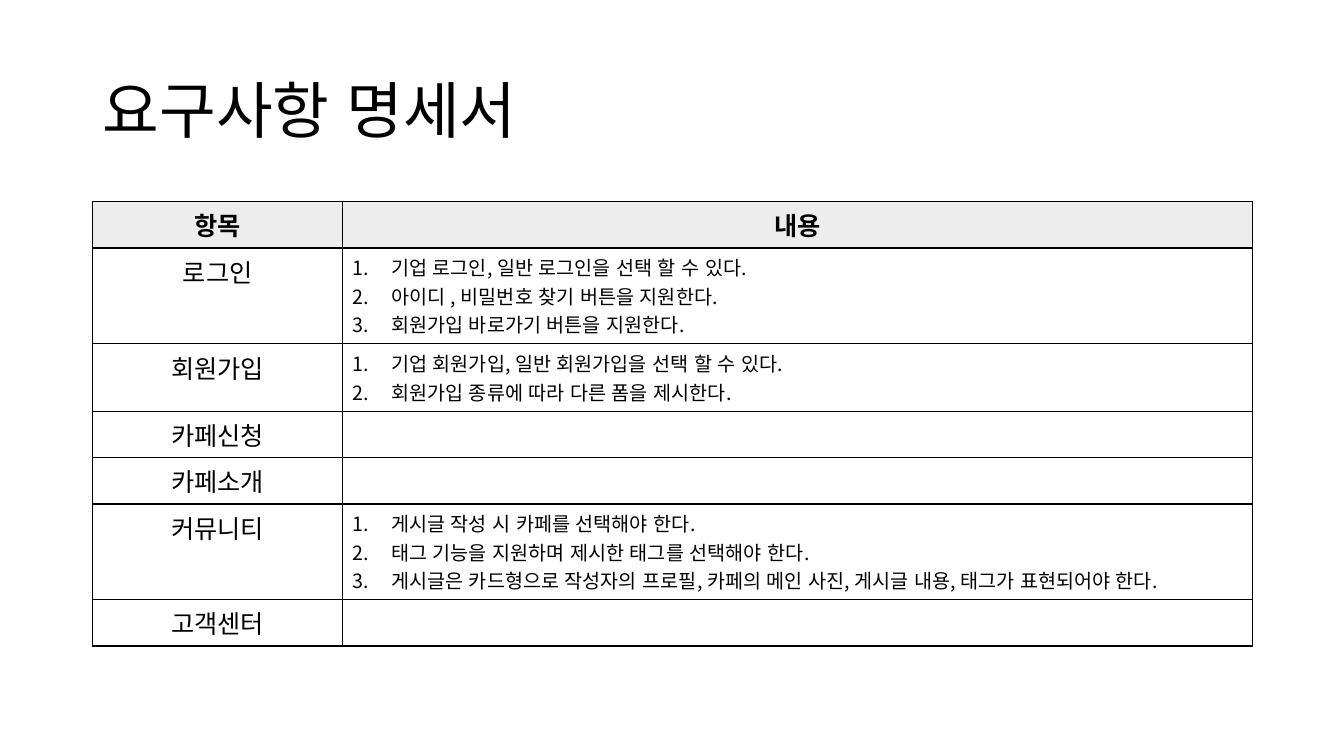
from lxml import etree
from pptx import Presentation
from pptx.dml.color import RGBColor
from pptx.enum.lang import MSO_LANGUAGE_ID
from pptx.enum.text import MSO_ANCHOR, PP_ALIGN
from pptx.oxml.ns import qn
from pptx.util import Inches, Pt

CENTER, MIDDLE = PP_ALIGN.CENTER, MSO_ANCHOR.MIDDLE
KOREAN = MSO_LANGUAGE_ID.KOREAN
BLACK = RGBColor(0x00, 0x00, 0x00)
HEADER_GREY = RGBColor(0xED, 0xED, 0xED)
FONT = "Noto Sans CJK KR"

WIDTH, HEIGHT = Inches(13.33), Inches(7.5)
LEFT, CONTENT_W = Inches(0.92), Inches(11.5)
TABLE_TOP, ROW_H = Inches(2), Inches(0.46)
LINE_H, CELL_PADDING = Inches(0.28), Inches(0.11)
ITEM_W = Inches(2.48)
INDENT = Inches(0.38)

HEADINGS = ("항목", "내용")
REQUIREMENTS = [
    ("로그인", ["기업 로그인, 일반 로그인을 선택 할 수 있다.",
             "아이디 , 비밀번호 찾기 버튼을 지원한다.",
             "회원가입 바로가기 버튼을 지원한다."]),
    ("회원가입", ["기업 회원가입, 일반 회원가입을 선택 할 수 있다.",
              "회원가입 종류에 따라 다른 폼을 제시한다."]),
    ("카페신청", []),
    ("카페소개", []),
    ("커뮤니티", ["게시글 작성 시 카페를 선택해야 한다.",
              "태그 기능을 지원하며 제시한 태그를 선택해야 한다.",
              "게시글은 카드형으로 작성자의 프로필, 카페의 메인 사진, 게시글 내용, "
              "태그가 표현되어야 한다."]),
    ("고객센터", []),
]


def add_run(p, text, size, bold=False):
    r = p.add_run()
    r.text = text
    formats = {"name": FONT, "size": Pt(size), "bold": bold, "language_id": KOREAN}
    for name, value in formats.items():
        setattr(r.font, name, value)
    r.font.color.rgb = BLACK
    latin = r.font._element.find(qn("a:latin"))
    latin.addnext(etree.Element(qn("a:ea"), typeface=FONT))


def number_paragraph(p):
    pPr = p._p.get_or_add_pPr()
    pPr.set("marL", str(INDENT))
    pPr.set("indent", str(-INDENT))
    etree.SubElement(pPr, qn("a:buFont"), typeface="+mj-lt")
    etree.SubElement(pPr, qn("a:buAutoNum"), type="arabicPeriod")


def style_cell(cell, fill=None):
    """Give the cell thin black borders and an optional fill."""
    tcPr = cell._tc.get_or_add_tcPr()
    for side in ("lnL", "lnR", "lnT", "lnB"):
        ln = etree.SubElement(tcPr, qn(f"a:{side}"), w=str(Pt(1)))
        solid = etree.SubElement(ln, qn("a:solidFill"))
        etree.SubElement(solid, qn("a:srgbClr"), val=str(BLACK))
    if fill is None:
        cell.fill.background()
    else:
        cell.fill.solid()
        cell.fill.fore_color.rgb = fill


def write_label(cell, text, bold=False):
    p = cell.text_frame.paragraphs[0]
    p.alignment = CENTER
    add_run(p, text, 18, bold)


def write_numbered(cell, lines):
    tf = cell.text_frame
    for i, line in enumerate(lines):
        p = tf.add_paragraph() if i else tf.paragraphs[0]
        number_paragraph(p)
        add_run(p, line, 14)


def add_title(s, text):
    tf = s.shapes.add_textbox(LEFT, Inches(0.4), CONTENT_W, Inches(1.45)).text_frame
    tf.word_wrap = True
    tf.vertical_anchor = MIDDLE
    p = tf.paragraphs[0]
    p.line_spacing = 0.9
    add_run(p, text, 44)


def add_requirements_table(s):
    heights = [ROW_H] + [max(ROW_H, CELL_PADDING + LINE_H * len(lines))
                         for _, lines in REQUIREMENTS]
    table = s.shapes.add_table(len(heights), len(HEADINGS), LEFT, TABLE_TOP,
                               CONTENT_W, sum(heights)).table
    table.first_row = table.horz_banding = False
    table.columns[0].width = ITEM_W
    table.columns[1].width = CONTENT_W - ITEM_W
    for row, height in zip(table.rows, heights):
        row.height = height
    for col, heading in enumerate(HEADINGS):
        style_cell(table.cell(0, col), HEADER_GREY)
        write_label(table.cell(0, col), heading, bold=True)
    for row, (item, lines) in enumerate(REQUIREMENTS, start=1):
        item_cell, detail_cell = table.cell(row, 0), table.cell(row, 1)
        style_cell(item_cell)
        style_cell(detail_cell)
        write_label(item_cell, item)
        write_numbered(detail_cell, lines)


def main():
    prs = Presentation()
    prs.slide_width, prs.slide_height = WIDTH, HEIGHT
    s = prs.slides.add_slide(prs.slide_layouts[6])
    add_title(s, "요구사항 명세서")
    add_requirements_table(s)
    prs.save("out.pptx")


if __name__ == "__main__":
    main()
